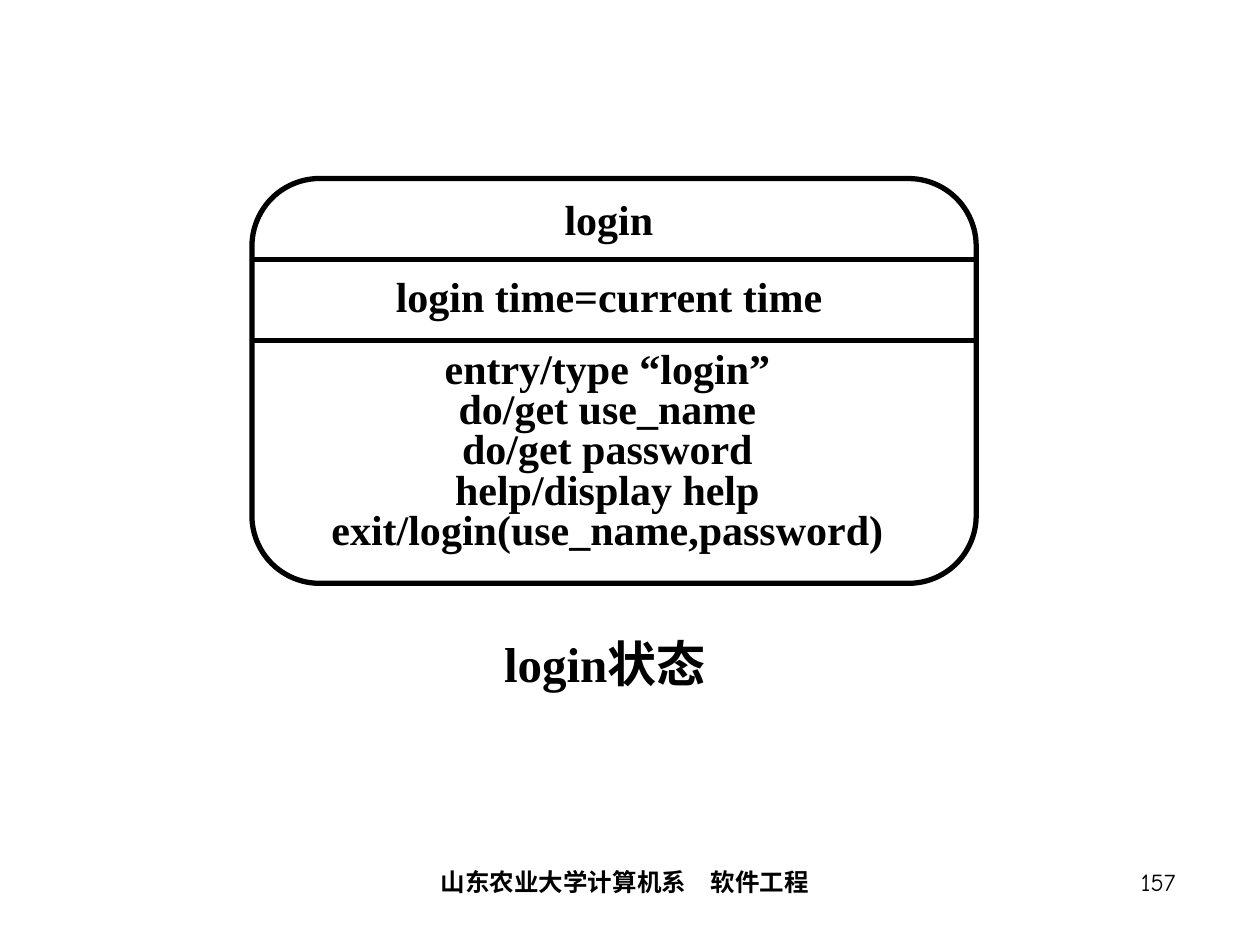
from lxml.etree import SubElement
from pptx import Presentation
from pptx.dml.color import RGBColor
from pptx.enum.shapes import MSO_CONNECTOR, MSO_SHAPE
from pptx.enum.text import MSO_ANCHOR, MSO_AUTO_SIZE, PP_ALIGN
from pptx.oxml.ns import qn
from pptx.util import Cm, Pt

INK = "000000"
STATE_FONT = "Times New Roman"
FOOTER_FONT = "Comic Neue"

# Left, top, width, height in centimetres
STATE_BOX = (5.08, 3.6, 14.6, 8.16)
COMPARTMENT_HEIGHT = 1.63
COMPARTMENTS = [
    (["login"], (6.0, 3.89, 12.55, 1.22)),
    (["login time=current time"], (5.92, 5.48, 12.72, 1.15)),
    (
        [
            "entry/type “login”",
            "do/get use_name",
            "do/get password",
            "help/display help",
            "exit/login(use_name,password)",
        ],
        (5.92, 6.93, 12.65, 4.4),
    ),
]
CAPTION = ("login状态", (9.09, 12.55, 6.2, 1.85))
FOOTERS = [
    ("山东农业大学计算机系　软件工程", (5.08, 17.35, 15.04, 1.27), PP_ALIGN.CENTER, True),
    ("157", (18.67, 17.35, 5.28, 1.27), PP_ALIGN.RIGHT, False),
]


def color(hex_value):
    return RGBColor.from_string(hex_value)


def place(shape, box):
    shape.left, shape.top, shape.width, shape.height = (Cm(value) for value in box)


def write(shape, lines, size, font_name=STATE_FONT, bold=True,
          alignment=PP_ALIGN.CENTER, anchor=MSO_ANCHOR.MIDDLE, line_spacing=0.8):
    frame = shape.text_frame
    frame.word_wrap = True
    frame.auto_size = MSO_AUTO_SIZE.NONE
    frame.vertical_anchor = anchor
    for index, line in enumerate(lines):
        paragraph = frame.add_paragraph() if index else frame.paragraphs[0]
        paragraph.alignment = alignment
        paragraph.line_spacing = line_spacing
        run = paragraph.add_run()
        run.text = line
        run.font.name = font_name
        run.font.size = Pt(size)
        run.font.bold = bold
        run.font.color.rgb = color(INK)


def style_line(shape):
    shape.line.color.rgb = color(INK)
    shape.line.width = Pt(3)


def add_text(slide, box, lines, size, **options):
    shape = slide.shapes.add_textbox(*(Cm(value) for value in box))
    write(shape, lines, size, **options)


def add_state(slide):
    left, top, width, height = STATE_BOX
    outline = slide.shapes.add_shape(
        MSO_SHAPE.ROUNDED_RECTANGLE, Cm(left), Cm(top), Cm(width), Cm(height))
    outline.adjustments[0] = 0.167
    outline.shadow.inherit = False
    outline.fill.background()
    style_line(outline)

    for number in range(1, len(COMPARTMENTS)):
        y = Cm(top + number * COMPARTMENT_HEIGHT)
        divider = slide.shapes.add_connector(
            MSO_CONNECTOR.STRAIGHT, Cm(left), y, Cm(left + width), y)
        style_line(divider)
        SubElement(divider._element.spPr, qn("a:effectLst"))

    for lines, box in COMPARTMENTS:
        add_text(slide, box, lines, 24)


def main():
    presentation = Presentation()
    presentation.slide_width = Cm(25.4)
    presentation.slide_height = Cm(19.05)
    slide = presentation.slides.add_slide(presentation.slide_layouts[5])

    add_state(slide)
    caption, box = CAPTION
    place(slide.shapes.title, box)
    write(slide.shapes.title, [caption], 28)
    for text, box, alignment, bold in FOOTERS:
        add_text(slide, box, [text], 14, font_name=FOOTER_FONT, bold=bold,
                 alignment=alignment, anchor=MSO_ANCHOR.TOP, line_spacing=1.0)

    presentation.save("out.pptx")


if __name__ == "__main__":
    main()
